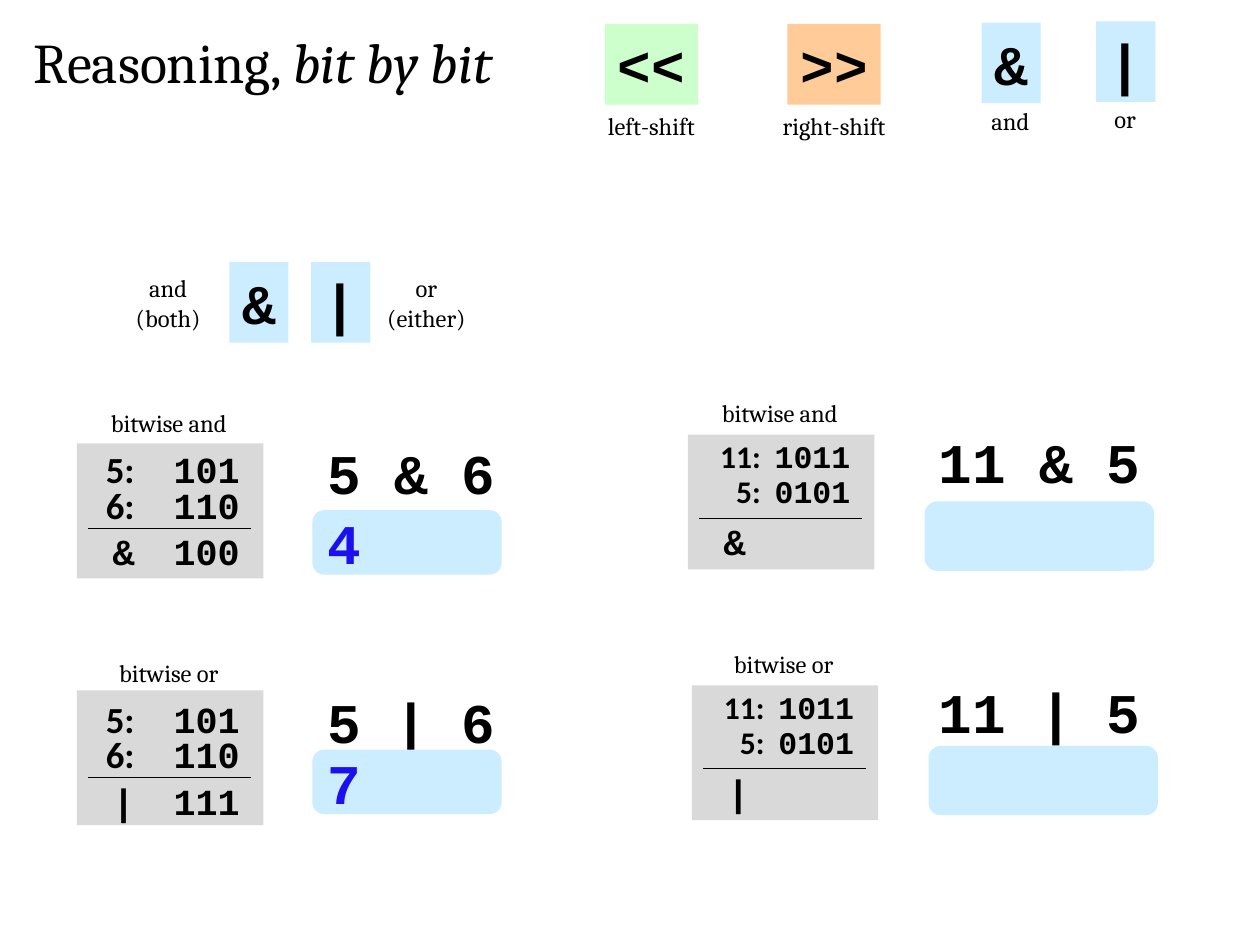
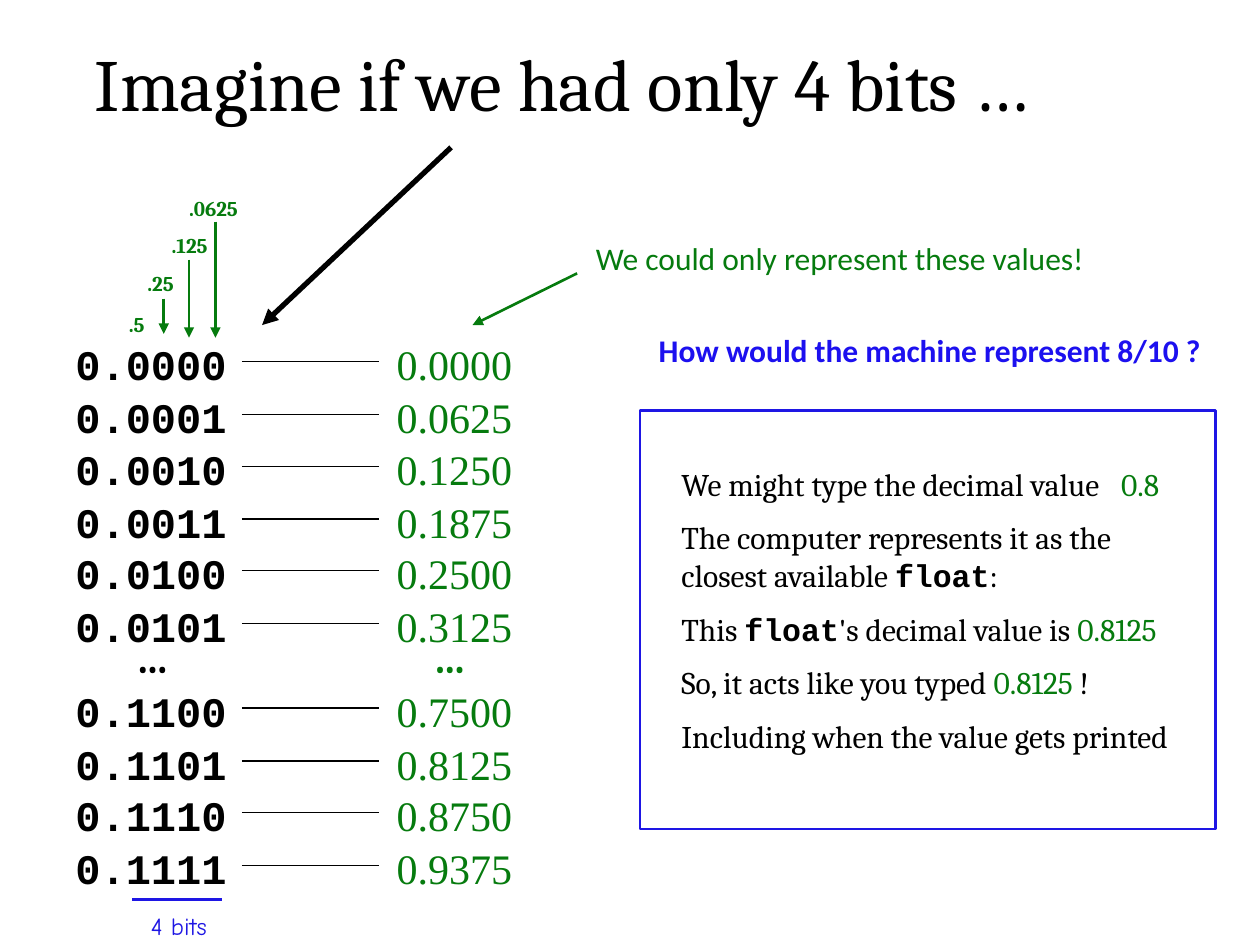
from lxml import etree
from pptx import Presentation
from pptx.dml.color import RGBColor
from pptx.enum.shapes import MSO_CONNECTOR, MSO_SHAPE
from pptx.enum.text import PP_ALIGN
from pptx.oxml.ns import qn
from pptx.util import Emu, Pt

PX = 9144  # EMU in one px: 100 px to the inch
LEFT, CENTER = PP_ALIGN.LEFT, PP_ALIGN.CENTER
RECT, ROUND = MSO_SHAPE.RECTANGLE, MSO_SHAPE.ROUNDED_RECTANGLE
STRAIGHT = MSO_CONNECTOR.STRAIGHT

SERIF, SANS, MONO = "Cambria", "Calibri", "Courier New"
TIMES, COMIC = "Times New Roman", "Comic Neue"
BLACK, GREEN, BLUE, ANSWER = "000000", "067B0E", "1E16E4", "1C10EF"
SKY, MINT, PEACH, GRAY = "CCECFF", "CCFFCC", "FFCC99", "D9D9D9"


def rgb(value):
    return RGBColor.from_string(value)


def px(*values):
    return [Emu(v * PX) for v in values]


class Deck:
    """Holds the shared style and the current slide."""

    def __init__(self, width, height):
        self.prs = Presentation()
        self.prs.slide_width, self.prs.slide_height = px(width, height)
        self.slide = None

    def new_slide(self):
        self.slide = self.prs.slides.add_slide(self.prs.slide_layouts[6])

    def style(self, font, name=None, size=None, color=None, bold=None, italic=None):
        if name:
            font.name = name
        if size:
            font.size = Pt(size)
        if color:
            font.color.rgb = rgb(color)
        if bold is not None:
            font.bold = bold
        if italic is not None:
            font.italic = italic

    def set_text(self, tf, paragraphs, size, name=SERIF, color=BLACK, bold=False,
                 align=LEFT, gap=0, tabs=()):
        """Each paragraph is a list of strings or (string, font changes)."""
        for i, runs in enumerate(paragraphs):
            p = tf.add_paragraph() if i else tf.paragraphs[0]
            p.alignment = align
            if i and gap:
                p.space_before = Pt(gap)
            if tabs:
                tab_list = etree.SubElement(p._p.get_or_add_pPr(), qn("a:tabLst"))
                for pos, side in tabs:
                    etree.SubElement(tab_list, qn("a:tab"), pos=str(pos * PX), algn=side)
            self.style(p.font, name, size, color, bold)
            for run in runs:
                text, changes = (run, {}) if isinstance(run, str) else run
                r = p.add_run()
                r.text = text
                self.style(r.font, **changes)

    def text(self, x, y, w, h, paragraphs, size, wrap=True, **look):
        tf = self.slide.shapes.add_textbox(*px(x, y, w, h)).text_frame
        tf.word_wrap = wrap
        if isinstance(paragraphs, str):
            paragraphs = [[paragraphs]]
        self.set_text(tf, paragraphs, size, **look)

    def shape(self, kind, x, y, w, h, fill=None, line=None):
        sp = self.slide.shapes.add_shape(kind, *px(x, y, w, h))
        sp.shadow.inherit = False
        if fill:
            sp.fill.solid()
            sp.fill.fore_color.rgb = rgb(fill)
        else:
            sp.fill.background()
        if line:
            sp.line.color.rgb = rgb(line)
            sp.line.width = Pt(1.5)
        else:
            sp.line.fill.background()
        return sp

    def operator(self, x, y, w, symbol, fill):
        tf = self.shape(RECT, x, y, w, 64, fill).text_frame
        tf.word_wrap = False
        self.set_text(tf, [[symbol]], 32, name=MONO, bold=True, align=CENTER)

    def line(self, x1, y1, x2, y2, width, color=BLACK, arrow=False):
        cxn = self.slide.shapes.add_connector(STRAIGHT, *px(x1, y1, x2, y2))
        cxn.line.color.rgb = rgb(color)
        cxn.line.width = Pt(width)
        sp_pr = cxn._element.spPr
        if arrow:
            etree.SubElement(sp_pr.find(qn("a:ln")), qn("a:tailEnd"), type="triangle")
        etree.SubElement(sp_pr, qn("a:effectLst"))

    def bit_sum(self, x, y, gray_y, caption, operands, symbol, size, label_tab, value_tab,
                result=""):
        """A gray panel with two operands in binary, a rule and the result."""
        self.shape(RECT, x, gray_y, 148, 107, GRAY)
        self.text(x - 2, y - 31, 150, 34, caption, 14, align=CENTER)
        for i, (number, bits) in enumerate(operands):
            self.text(x + 8, y + 28 * i, 140, 45,
                      [[f"\t{number}:\t", (bits, {"name": MONO})]], size,
                      name=SANS, bold=True, tabs=[(label_tab, "r"), (value_tab, "l")])
        self.line(x + 9, y + 69, x + 138, y + 69, 0.25)
        last = f"\t{symbol}\t{result}" if result else f"\t{symbol}"
        self.text(x + 8, y + 65, 140, 45, last, 21, name=MONO, bold=True,
                  tabs=[(28, "r"), (value_tab, "l")])

    def question(self, x, y, expression, box, answer=""):
        """An expression above its answer box."""
        big = {"size": 32, "name": MONO, "bold": True}
        self.text(x, y, 181, 64, expression, **big)
        self.shape(ROUND, *box, SKY, SKY)
        if answer:
            self.text(x, box[1] - 7, 90, 64, answer, color=ANSWER, **big)


def bitwise_slide(deck):
    deck.new_slide()
    deck.text(17, 17, 433, 64, [["Reasoning, ", ("bit by bit", {"italic": True})]], 32)

    # Operators along the top
    for x, y, w, symbol, fill, name, name_y in [
            (480, 19, 74, "<<", MINT, "left-shift", 83),
            (625, 19, 74, ">>", PEACH, "right-shift", 83),
            (779, 18, 47, "&", SKY, "and", 79),
            (870, 17, 47, "|", SKY, "or", 78)]:
        deck.operator(x, y, w, symbol, fill)
        deck.text(x + w // 2 - 58, name_y, 116, 33, name, 14, align=CENTER)

    # Meaning of and, or
    for x, symbol, text_x, w, words in [
            (182, "&", 95, 77, ("and", "(both)")),
            (247, "|", 292, 93, ("or", "(either)"))]:
        deck.operator(x, 208, 47, symbol, SKY)
        deck.text(text_x, 212, w, 57, [[word] for word in words], 14, align=CENTER)

    # Solved sums on the left, open ones on the right
    solved = [("5", "101"), ("6", "110")]
    unsolved = [("11", "1011"), ("5", "0101")]
    for symbol, caption, y, gray_y, box_y, result, answer in [
            ("&", "bitwise and", 350, 352, 406, "100", "4"),
            ("|", "bitwise or", 548, 548, 596, "111", "7")]:
        deck.bit_sum(61, y, gray_y, caption, solved, symbol, 21, 28, 59, result)
        deck.question(250, y - 7, f"5 {symbol} 6", (249, box_y, 148, 49), answer)
    for symbol, caption, x, y, box in [
            ("&", "bitwise and", 546, 342, (735, 399, 180, 53)),
            ("|", "bitwise or", 549, 541, (738, 593, 180, 53))]:
        deck.bit_sum(x, y, y + 3, caption, unsolved, symbol, 18, 40, 51)
        deck.question(735, y - 8, f"11 {symbol} 5", box)


def four_bits_slide(deck):
    deck.new_slide()
    deck.text(50, 25, 792, 81, "Imagine if we had only 4 bits …", 42, align=CENTER)

    # Binary fractions and their decimal values
    for top, first, last in [(264, 0, 5), (539, 12, 15)]:
        for n in range(first, last + 1):
            y = round(top + 41.6 * (n - first))
            deck.text(50, y, 250, 50, f"0.{n:04b}", 24, name=MONO, bold=True)
            deck.text(305, y, 250, 50, f"{n / 16:.4f}", 24, name=TIMES, color=GREEN)
            deck.line(192, y + 23, 301, y + 23, 0.75)
    for x, color in [(77, BLACK), (313, GREEN)]:
        deck.text(x, 496, 88, 50, "…", 24, color=color, bold=True, align=CENTER)
    deck.line(105, 714, 176, 714, 1.5, BLUE)
    deck.text(96, 718, 92, 33, "4 bits", 14, name=COMIC, color=BLUE, align=CENTER)

    # Weight of each bit
    for x, y, weight in [(75, 242, ".5"), (94, 210, ".25"),
                         (117, 180, ".125"), (136, 150, ".0625")]:
        deck.text(x, y, 67, 30, weight, 12, color=GREEN, bold=True, align=CENTER)
    for x, y1, y2 in [(130, 237, 265), (150, 206, 268), (171, 176, 268)]:
        deck.line(x, y1, x, y2, 1.5, GREEN, arrow=True)

    # Remarks
    deck.line(358, 117, 208, 258, 3, arrow=True)
    deck.line(458, 217, 375, 258, 1.5, GREEN, arrow=True)
    deck.text(463, 185, 412, 40, "We could only represent these values!", 18,
              wrap=False, name=SANS, color=GREEN)
    deck.text(513, 258, 454, 40, "How would the machine represent 8/10 ?", 18,
              wrap=False, name=SANS, color=ANSWER, bold=True)

    # Worked example
    code, value = {"name": MONO, "bold": True}, {"color": GREEN}
    deck.text(531, 364, 412, 252, [
        ["We might type the decimal value\t", ("0.8", value)],
        ["The computer represents it as the closest available ", ("float", code), ":"],
        ["This ", ("float", code), "'s decimal value is ", ("0.8125", value)],
        ["So, it acts like you typed ", ("0.8125", value), " !"],
        ["Including when the value gets printed"],
    ], 18, gap=9, tabs=[(349, "l")])
    deck.shape(RECT, 508, 326, 457, 332, line=BLUE)


def main():
    deck = Deck(1000, 750)
    bitwise_slide(deck)
    four_bits_slide(deck)
    deck.prs.save("out.pptx")


if __name__ == "__main__":
    main()
